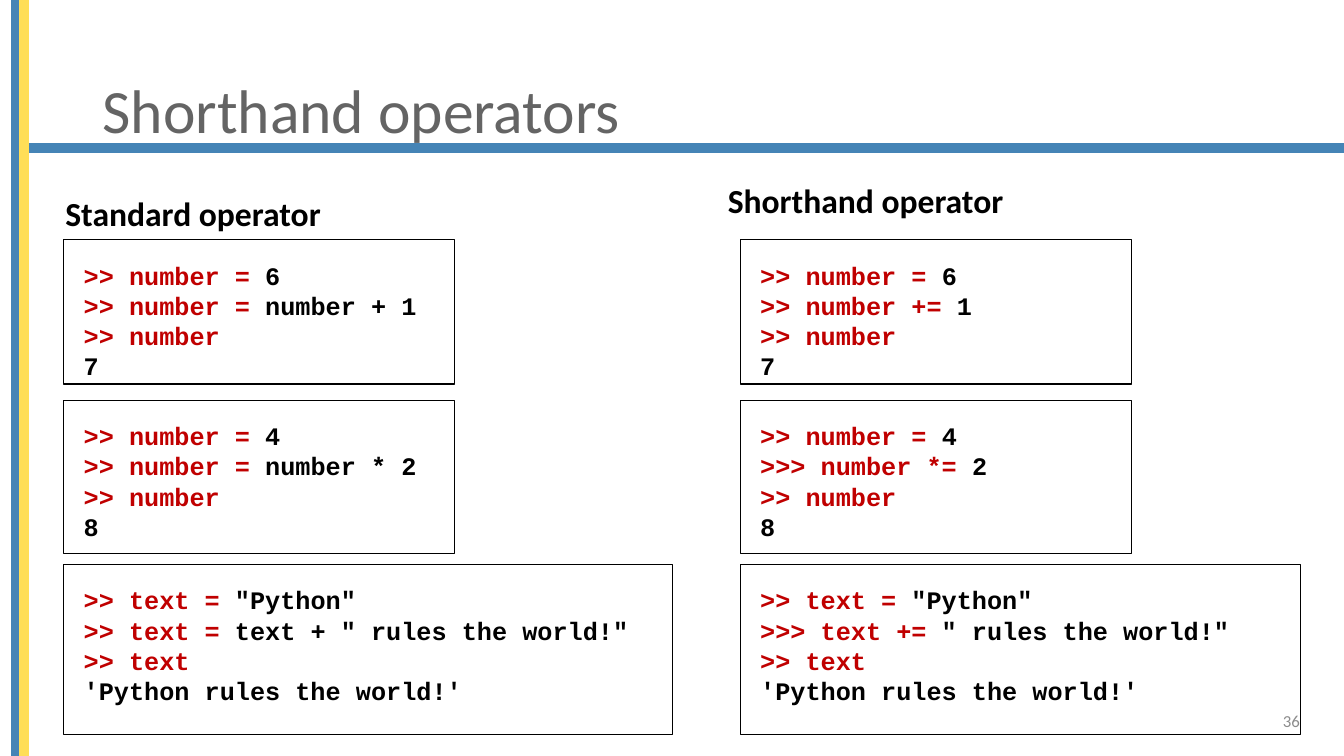
"""Builds a slide that compares standard and shorthand operators in Python."""
from dataclasses import dataclass

from lxml.etree import SubElement
from pptx import Presentation
from pptx.dml.color import RGBColor
from pptx.enum.shapes import MSO_SHAPE
from pptx.enum.text import MSO_ANCHOR, PP_ALIGN
from pptx.oxml.ns import qn
from pptx.util import Inches, Pt

TITLE = "Shorthand operators"
PAGE_NUMBER = "36"
HEADINGS = [
    {"text": "Standard operator", "area": (0.55, 1.83, 5.64, 0.9),
     "anchor": MSO_ANCHOR.BOTTOM, "insets": (0.1, 0.05, 0.1, 0.41)},
    {"text": "Shorthand operator", "area": (7.12, 1.78, 5.67, 0.9)},
]
EXAMPLES = [
    [
        [(">> number =", " 6"), (">> number =", " number + 1"), (">> number", ""), ("", "7")],
        [(">> number =", " 6"), (">> number +=", " 1"), (">> number", ""), ("", "7")],
    ],
    [
        [(">> number =", " 4"), (">> number =", " number * 2"), (">> number", ""), ("", "8")],
        [(">> number =", " 4"), (">>> number *=", " 2"), (">> number", ""), ("", "8")],
    ],
    [
        [(">> text =", ' "Python"'), (">> text =", ' text + " rules the world!"'),
         (">> text", ""), ("", "'Python rules the world!'")],
        [(">> text =", ' "Python"'), (">>> text +=", ' " rules the world!"'),
         (">> text", ""), ("", "'Python rules the world!'")],
    ],
]


@dataclass(frozen=True)
class Theme:
    """Colours, fonts and type sizes of the slide."""
    blue: str = "4584B6"
    yellow: str = "FFDE57"
    title: str = "646464"
    black: str = "000000"
    white: str = "FFFFFF"
    prompt: str = "C00000"
    page: str = "8C8C8C"
    body_font: str = "Calibri"
    code_font: str = "Courier New"
    title_size: int = 44
    heading_size: int = 24
    code_size: int = 18
    page_size: int = 12


THEME = Theme()
WIDTH, HEIGHT = 13.33, 7.5
BAR = 0.08
BAR_LEFT = 0.12
COLUMN_LEFTS = (0.63, 7.34)
ROWS = ((2.38, 1.43), (3.97, 1.52), (5.6, 1.69))
BOX_WIDTHS = ((3.88, 3.88), (3.88, 3.88), (6.04, 5.56))


def write(frame, lines, *, size, font=THEME.body_font, bold=False, align=PP_ALIGN.LEFT,
          anchor=MSO_ANCHOR.TOP, insets=(0.1, 0.05, 0.1, 0.05), wrap=True, spacing=None):
    """Fills a text frame with lines, each a list of (text, colour) runs."""
    frame.word_wrap = wrap
    frame.vertical_anchor = anchor
    (frame.margin_left, frame.margin_top,
     frame.margin_right, frame.margin_bottom) = map(Inches, insets)
    for index, runs in enumerate(lines):
        paragraph = frame.add_paragraph() if index else frame.paragraphs[0]
        paragraph.alignment = align
        if spacing:
            paragraph.line_spacing = spacing
        for text, colour in runs:
            if text:
                run = paragraph.add_run()
                run.text = text
                run.font.name = font
                run.font.size = Pt(size)
                run.font.bold = bold
                run.font.color.rgb = RGBColor.from_string(colour)


def add_label(slide, area, text, colour, **style):
    """Adds a one-line text box."""
    label = slide.shapes.add_textbox(*map(Inches, area))
    write(label.text_frame, [[(text, colour)]], **style)


def add_panel(slide, preset, area, fill, line, weight):
    """Adds a filled, outlined shape without a shadow."""
    panel = slide.shapes.add_shape(preset, *map(Inches, area))
    panel.shadow.inherit = False
    panel.fill.solid()
    panel.fill.fore_color.rgb = RGBColor.from_string(fill)
    panel.line.color.rgb = RGBColor.from_string(line)
    panel.line.width = Pt(weight)
    return panel


def add_code(slide, area, code):
    """Adds a translucent code box with coloured prompts."""
    box = add_panel(slide, MSO_SHAPE.FOLDED_CORNER, area, THEME.white, THEME.black, 0.75)
    properties = box.element.find(qn("p:spPr"))
    geometry = properties.find(qn("a:prstGeom"))
    fold = SubElement(geometry.find(qn("a:avLst")), qn("a:gd"))
    fold.set("name", "adj")
    fold.set("fmla", "val 0")
    fill_colour = properties.find(qn("a:solidFill")).find(qn("a:srgbClr"))
    SubElement(fill_colour, qn("a:alpha")).set("val", "70000")
    lines = [[(prompt, THEME.prompt), (rest, THEME.black)] for prompt, rest in code]
    write(box.text_frame, lines, size=THEME.code_size, font=THEME.code_font,
          bold=True, insets=(0.2,) * 4, wrap=False)


def main():
    """Builds and saves the slide."""
    deck = Presentation()
    deck.slide_width, deck.slide_height = Inches(WIDTH), Inches(HEIGHT)
    slide = deck.slides.add_slide(deck.slide_layouts[6])

    bars = [
        ((BAR_LEFT + BAR, 1.43, WIDTH - BAR_LEFT - BAR, BAR), THEME.blue),
        ((BAR_LEFT, 0, BAR, HEIGHT), THEME.blue),
        ((BAR_LEFT + BAR, 0, BAR, HEIGHT), THEME.yellow),
    ]
    for area, colour in bars:
        add_panel(slide, MSO_SHAPE.RECTANGLE, area, colour, colour, 1)

    add_label(slide, (0.92, 0.4, 11.5, 1.45), TITLE, THEME.title,
              size=THEME.title_size, anchor=MSO_ANCHOR.MIDDLE, spacing=0.9)
    for heading in HEADINGS:
        add_label(slide, colour=THEME.black, size=THEME.heading_size,
                  bold=True, spacing=0.9, **heading)

    for (top, height), widths, examples in zip(ROWS, BOX_WIDTHS, EXAMPLES):
        for left, width, code in zip(COLUMN_LEFTS, widths, examples):
            add_code(slide, (left, top, width, height), code)

    add_label(slide, (9.99, 6.95, 3, 0.4), PAGE_NUMBER, THEME.page,
              size=THEME.page_size, align=PP_ALIGN.RIGHT, anchor=MSO_ANCHOR.MIDDLE)
    deck.save("out.pptx")


if __name__ == "__main__":
    main()
